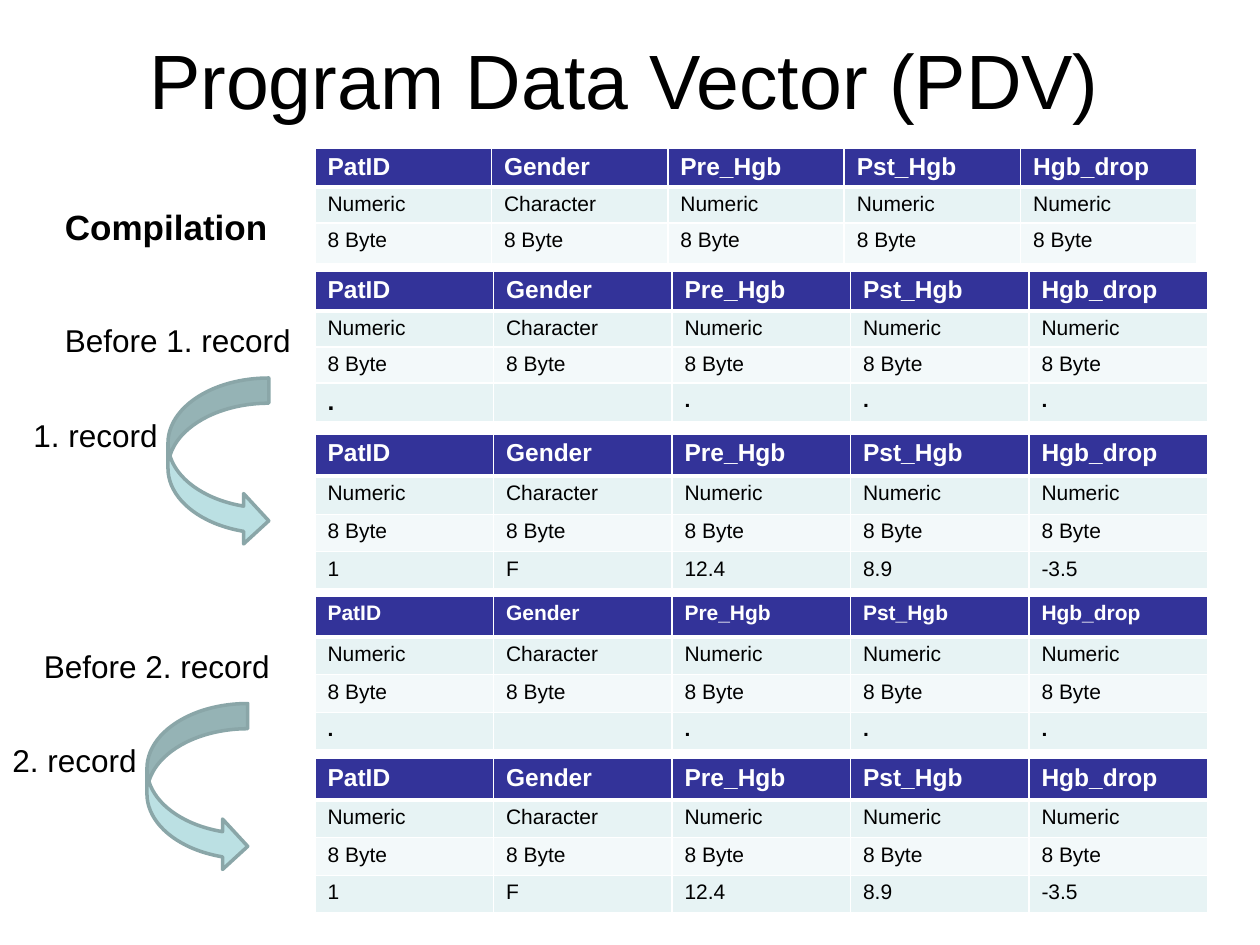
from lxml import etree
from pptx import Presentation
from pptx.dml.color import RGBColor
from pptx.enum.shapes import MSO_SHAPE
from pptx.enum.text import MSO_ANCHOR, PP_ALIGN
from pptx.oxml.ns import qn
from pptx.util import Pt

CURVED_ARROW = MSO_SHAPE.CURVED_RIGHT_ARROW
MIDDLE, TOP = MSO_ANCHOR.MIDDLE, MSO_ANCHOR.TOP
CENTER, LEFT = PP_ALIGN.CENTER, PP_ALIGN.LEFT

FONT = "Arial"
COLORS = {
    "white": "FFFFFF", "black": "000000", "header": "333399",
    "band": "E7F3F4", "plain": "F3F9FA", "arrow": "BBE0E3", "outline": "8AA6A8",
}

# Content
VARIABLES = [
    ["PatID", "Gender", "Pre_Hgb", "Pst_Hgb", "Hgb_drop"],
    ["Numeric", "Character", "Numeric", "Numeric", "Numeric"],
    ["8 Byte"] * 5,
]
MISSING = [".", "", ".", ".", "."]
RECORD = ["1", "F", "12.4", "8.9", "-3.5"]

TABLE_LEFT = 180
# top, width, row heights, value row, header size, size of first value
TABLES = [
    (84.5, 504, [22.3, 20.8, 23.3], None, 14, 12),
    (155, 510, [22.8, 20.6, 20.6, 22.3], MISSING, 14, 14),
    (248, 510, [24, 22, 21.3, 21.3], RECORD, 14, 12),
    (340.5, 510, [23.6, 21.4, 21.6, 21.4], MISSING, 12, 12),
    (433.5, 510, [23.6, 21.6, 21.5, 21.5], RECORD, 14, 12),
]
# text, left, top, width, height, size, bold, alignment, anchor, wrap
TEXTS = [
    ("Program Data Vector (PDV)", 12, 0, 690, 90, 44, False, CENTER, MIDDLE, True),
    ("Compilation", 30, 114, 131, 31.5, 20, True, LEFT, TOP, False),
    ("Before 1. record", 30, 180, 145, 29, 18, False, LEFT, TOP, False),
    ("1. record", 12, 234, 86.5, 29, 18, False, LEFT, TOP, False),
    ("Before 2. record", 18, 366, 145, 29, 18, False, LEFT, TOP, False),
    ("2. record", 0, 420, 86.5, 29, 18, False, LEFT, TOP, False),
]
ARROWS = [(96, 216), (84, 402)]
ARROW_SIZE = (57.6, 96)


def color(name):
    return RGBColor.from_string(COLORS[name])


def format_runs(paragraph, size, color_name, bold):
    for run in paragraph.runs:
        run.font.name = FONT
        run.font.size = Pt(size)
        run.font.bold = bold
        run.font.color.rgb = color(color_name)


def add_border(cell, side, width):
    properties = cell._tc.get_or_add_tcPr()
    line = etree.SubElement(properties, qn(f"a:ln{side}"), w=str(Pt(width)))
    fill = etree.SubElement(line, qn("a:solidFill"))
    etree.SubElement(fill, qn("a:srgbClr"), val=COLORS["white"])


def format_cell(cell, text, row, size):
    is_header = row == 0
    cell.margin_top = cell.margin_bottom = Pt(3.1)
    for side in "LRTB":
        thick = (side == "B" and row == 0) or (side == "T" and row == 1)
        add_border(cell, side, 3 if thick else 1)
    cell.fill.solid()
    cell.fill.fore_color.rgb = color(
        "header" if is_header else "band" if row % 2 else "plain")
    cell.text_frame.text = text
    paragraph = cell.text_frame.paragraphs[0]
    format_runs(paragraph, size, "white" if is_header else "black",
                is_header or text == ".")
    if not text:  # keeps the empty cell from stretching its row
        end = etree.SubElement(paragraph._p, qn("a:endParaRPr"))
        end.set("sz", str(size * 100))


def add_vector_table(slide, top, width, heights, values, header_size, first_size):
    rows = VARIABLES + ([values] if values else [])
    columns = len(rows[0])
    table = slide.shapes.add_table(
        len(rows), columns, Pt(TABLE_LEFT), Pt(top), Pt(width), Pt(sum(heights))).table
    table.horz_banding = False
    for column in table.columns:
        column.width = Pt(width / columns)
    for r, (texts, height) in enumerate(zip(rows, heights)):
        table.rows[r].height = Pt(height)
        for c, text in enumerate(texts):
            size = header_size if r == 0 else first_size if (r, c) == (3, 0) else 12
            format_cell(table.cell(r, c), text, r, size)


def add_text(slide, text, left, top, width, height, size, bold, alignment, anchor, wrap):
    frame = slide.shapes.add_textbox(
        Pt(left), Pt(top), Pt(width), Pt(height)).text_frame
    frame.word_wrap = wrap
    frame.vertical_anchor = anchor
    frame.text = text
    paragraph = frame.paragraphs[0]
    paragraph.alignment = alignment
    format_runs(paragraph, size, "black", bold)


def add_arrow(slide, left, top):
    width, height = ARROW_SIZE
    shape = slide.shapes.add_shape(
        CURVED_ARROW, Pt(left), Pt(top), Pt(width), Pt(height))
    shape.shadow.inherit = False
    shape.fill.solid()
    shape.fill.fore_color.rgb = color("arrow")
    shape.line.color.rgb = color("outline")
    shape.line.width = Pt(2)


def main():
    presentation = Presentation()
    presentation.slide_width, presentation.slide_height = Pt(720), Pt(540)
    slide = presentation.slides.add_slide(presentation.slide_layouts[6])
    # Tables, one per state of the vector
    for table in TABLES:
        add_vector_table(slide, *table)
    # Title and step labels
    for text in TEXTS:
        add_text(slide, *text)
    # Arrows from each empty vector to the filled one
    for left, top in ARROWS:
        add_arrow(slide, left, top)
    presentation.save("out.pptx")


if __name__ == "__main__":
    main()
